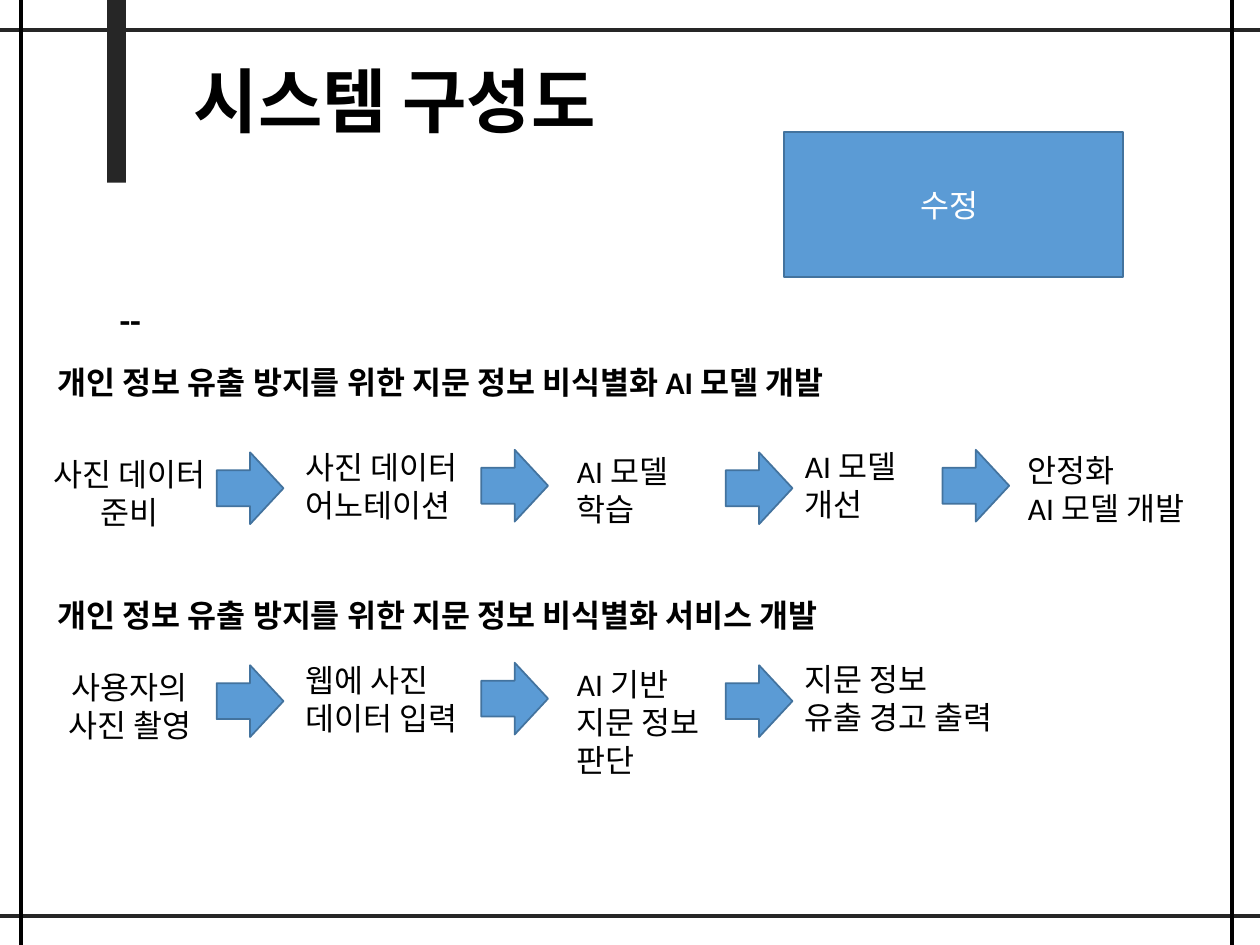
from lxml.etree import SubElement
from pptx import Presentation
from pptx.dml.color import RGBColor
from pptx.enum.shapes import MSO_CONNECTOR, MSO_SHAPE
from pptx.enum.text import MSO_ANCHOR, PP_ALIGN
from pptx.oxml.ns import qn
from pptx.util import Inches, Pt

W, H = 10, 7.5
FONT = "Calibri"
BLACK, DARK, WHITE, BLUE, EDGE = "000000", "262626", "FFFFFF", "5B9BD5", "43739E"

TITLE = "시스템 구성도"
# heading, heading top, top of the flow, steps as (lines, box width)
FLOWS = [
    ("개인 정보 유출 방지를 위한 지문 정보 비식별화 AI 모델 개발", 2.83, 3.5, [
        (["사진 데이터", "준비"], 1.52),
        (["사진 데이터", "어노테이션"], 1.58),
        (["AI 모델", "학습"], 1.36),
        (["AI 모델", "개선"], 1.27),
        (["안정화", "AI 모델 개발"], 1.57),
    ]),
    ("개인 정보 유출 방지를 위한 지문 정보 비식별화 서비스 개발", 4.68, 5.19, [
        (["사용자의", "사진 촬영"], 1.52),
        (["웹에 사진", "데이터 입력"], 1.74),
        (["AI 기반", "지문 정보 판단"], 1.36),
        (["지문 정보", "유출 경고 출력"], 1.82),
    ]),
]
# left edge and drop below the top of the flow, by column
STEP_COLS = [(0.27, 0.06), (2.33, 0.01), (4.48, 0.04), (6.29, 0), (8.06, 0.03)]
ARROW_COLS = [(1.72, 0.09), (3.82, 0.07), (5.76, 0.09), (7.48, 0.07)]
FRAME = [
    ((0, 0.24), (W, 0.24), DARK),
    ((0, 7.27), (W, 7.27), DARK),
    ((0.17, 0), (0.17, H), BLACK),
    ((9.78, 0), (9.78, H), BLACK),
]


def rgb(value):
    """Turn a hex string into a colour."""
    return RGBColor.from_string(value)


def write(sp, lines, size=18, color=BLACK, bold=False, align=PP_ALIGN.LEFT,
          wrap=True, anchor=MSO_ANCHOR.TOP):
    """Fill a shape with one paragraph per line."""
    tf = sp.text_frame
    tf.word_wrap = wrap
    tf.vertical_anchor = anchor
    for i, line in enumerate(lines):
        p = tf.add_paragraph() if i else tf.paragraphs[0]
        p.alignment = align
        r = p.add_run()
        r.text = line
        r.font.name, r.font.size, r.font.bold = FONT, Pt(size), bold
        r.font.color.rgb = rgb(color)


def add_text(s, box, lines, **fmt):
    """Add a text box at (left, top, width, height)."""
    write(s.shapes.add_textbox(*map(Inches, box)), lines, **fmt)


def add_block(s, kind, box, fill=BLUE, edge=EDGE):
    """Add a flat preset shape, outlined when an edge colour is given."""
    sp = s.shapes.add_shape(kind, *map(Inches, box))
    sp.shadow.inherit = False
    sp.fill.solid()
    sp.fill.fore_color.rgb = rgb(fill)
    if edge:
        sp.line.color.rgb = rgb(edge)
        sp.line.width = Pt(1)
    else:
        sp.line.fill.background()
    return sp


def add_line(s, start, end, color):
    """Add a straight frame line without a shadow."""
    line = s.shapes.add_connector(MSO_CONNECTOR.STRAIGHT, *map(Inches, start + end))
    line.line.color.rgb = rgb(color)
    line.line.width = Pt(2.25)
    SubElement(line._element.spPr, qn("a:effectLst"))


def add_flow(s, heading, heading_top, top, steps):
    """Add a heading and its steps, with an arrow between neighbours."""
    add_text(s, (0.36, heading_top, 7.17, 0.4), [heading], bold=True)
    for i, ((lines, width), (left, drop)) in enumerate(zip(steps, STEP_COLS)):
        add_text(s, (left, top + drop, width, 0.71), lines,
                 align=PP_ALIGN.LEFT if i else PP_ALIGN.CENTER)
    for left, drop in ARROW_COLS[:len(steps) - 1]:
        add_block(s, MSO_SHAPE.RIGHT_ARROW, (left, top + drop, 0.53, 0.57))


prs = Presentation()
prs.slide_width, prs.slide_height = Inches(W), Inches(H)
s = prs.slides.add_slide(prs.slide_layouts[6])

for start, end, color in FRAME:
    add_line(s, start, end, color)
add_block(s, MSO_SHAPE.RECTANGLE, (0.85, 0, 0.15, 1.45), fill=DARK, edge=None)
add_text(s, (1.44, 0.41, 3.69, 0.77), [TITLE], size=40, bold=True, wrap=False)
add_text(s, (0.85, 2.32, 8.22, 0.44), ["--"], size=20, bold=True)
for flow in FLOWS:
    add_flow(s, *flow)
note = add_block(s, MSO_SHAPE.RECTANGLE, (6.22, 1.05, 2.69, 1.15))
write(note, ["수정 "], color=WHITE, align=PP_ALIGN.CENTER, anchor=MSO_ANCHOR.MIDDLE)

prs.save("out.pptx")
